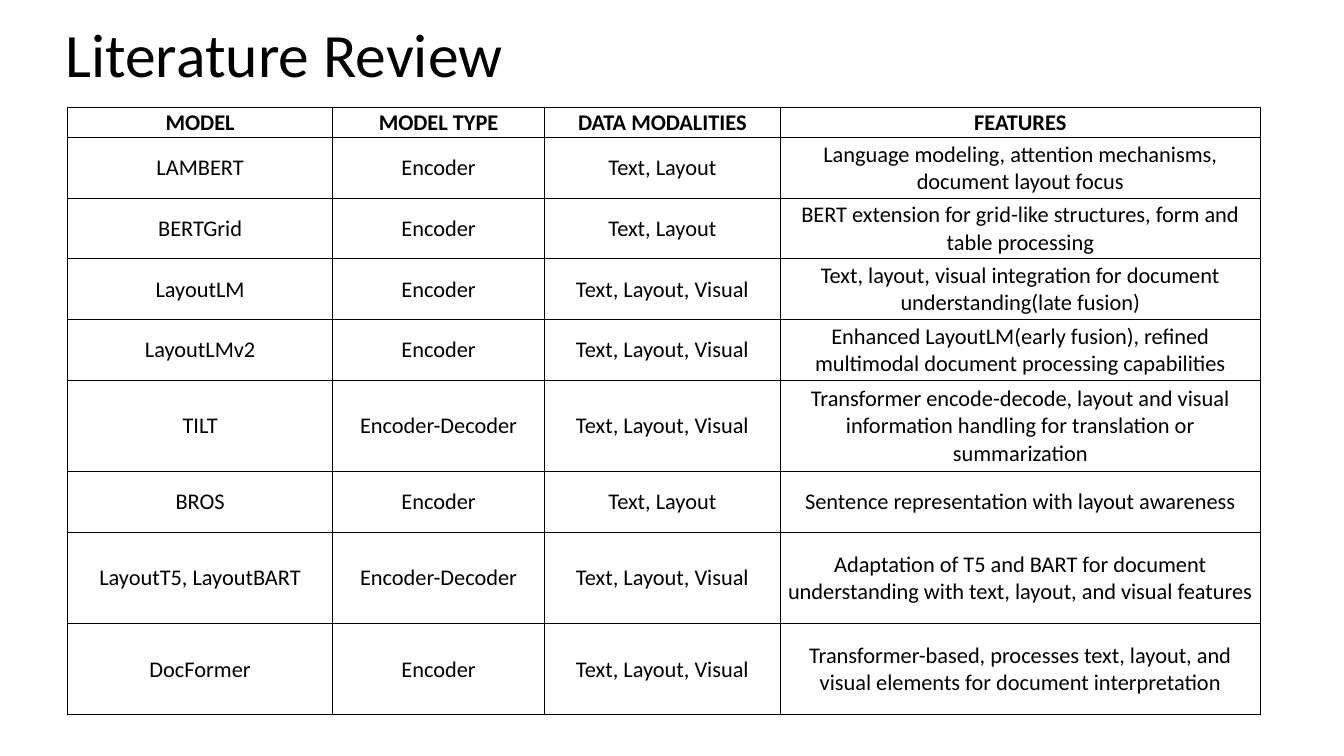
from lxml.etree import SubElement
from pptx import Presentation
from pptx.dml.color import RGBColor
from pptx.enum.text import MSO_ANCHOR, PP_ALIGN
from pptx.oxml.ns import qn
from pptx.util import Inches, Pt

BLACK = "000000"
WHITE = "FFFFFF"
LINE_HEIGHT = 6.03 / 20
COLUMN_WIDTHS = [2.63, 2.1, 2.34, 4.76]
TEXT_LAYOUT = "Text, Layout"
ALL_MODALITIES = "Text, Layout, Visual"

# Each row: height in text lines, then the cell texts
ROWS = [
    (1, "MODEL", "MODEL TYPE", "DATA MODALITIES", "FEATURES"),
    (2, "LAMBERT", "Encoder", TEXT_LAYOUT,
     "Language modeling, attention mechanisms, document layout focus"),
    (2, "BERTGrid", "Encoder", TEXT_LAYOUT,
     "BERT extension for grid-like structures, form and table processing"),
    (2, "LayoutLM", "Encoder", ALL_MODALITIES,
     "Text, layout, visual integration for document understanding(late fusion)"),
    (2, "LayoutLMv2", "Encoder", ALL_MODALITIES,
     "Enhanced LayoutLM(early fusion), refined multimodal document processing capabilities"),
    (3, "TILT", "Encoder-Decoder", ALL_MODALITIES,
     "Transformer encode-decode, layout and visual information handling "
     "for translation or summarization"),
    (2, "BROS", "Encoder", TEXT_LAYOUT,
     "Sentence representation with layout awareness"),
    (3, "LayoutT5, LayoutBART", "Encoder-Decoder", ALL_MODALITIES,
     "Adaptation of T5 and BART for document understanding with text, layout, "
     "and visual features"),
    (3, "DocFormer", "Encoder", ALL_MODALITIES,
     "Transformer-based, processes text, layout, and visual elements "
     "for document interpretation"),
]
CELL_FORMAT = {
    "vertical_anchor": MSO_ANCHOR.MIDDLE,
    "margin_left": Inches(0.01),
    "margin_top": Inches(0.01),
    "margin_right": Inches(0.01),
    "margin_bottom": 0,
}


def write(para, text, size, bold=False, color=BLACK):
    span = para.add_run()
    span.text = text
    font_format = {"name": "Calibri", "size": Pt(size), "bold": bold}
    for name, value in font_format.items():
        setattr(span.font, name, value)
    span.font.color.rgb = RGBColor.from_string(color)


def draw_borders(cell, color=BLACK, width=0.5):
    properties = cell._tc.get_or_add_tcPr()
    for side in ("a:lnL", "a:lnR", "a:lnT", "a:lnB"):
        line = SubElement(properties, qn(side), w=str(Pt(width)))
        fill = SubElement(line, qn("a:solidFill"))
        SubElement(fill, qn("a:srgbClr"), val=color)


deck = Presentation()
deck.slide_width = Inches(13.33)
deck.slide_height = Inches(7.5)
page = deck.slides.add_slide(deck.slide_layouts[6])

# Title
title = page.shapes.add_textbox(Inches(0.55), Inches(0.16), Inches(11.5), Inches(0.82))
title.text_frame.word_wrap = True
title.text_frame.vertical_anchor = MSO_ANCHOR.MIDDLE
heading = title.text_frame.paragraphs[0]
heading.line_spacing = 0.9
write(heading, "Literature Review", 44)

# Model comparison
frame = page.shapes.add_table(
    len(ROWS), len(COLUMN_WIDTHS), Inches(0.67), Inches(1.06),
    Inches(sum(COLUMN_WIDTHS)), Inches(20 * LINE_HEIGHT))
table = frame.table
table.first_row = False
table.horz_banding = False
for column, width in zip(table.columns, COLUMN_WIDTHS):
    column.width = Inches(width)

for row_index, (lines, *texts) in enumerate(ROWS):
    table.rows[row_index].height = Inches(lines * LINE_HEIGHT)
    for column_index, text in enumerate(texts):
        cell = table.cell(row_index, column_index)
        for name, value in CELL_FORMAT.items():
            setattr(cell, name, value)
        draw_borders(cell)
        cell.fill.solid()
        cell.fill.fore_color.rgb = RGBColor.from_string(WHITE)
        para = cell.text_frame.paragraphs[0]
        para.alignment = PP_ALIGN.CENTER
        write(para, text, 16, bold=row_index == 0)

deck.save("out.pptx")
